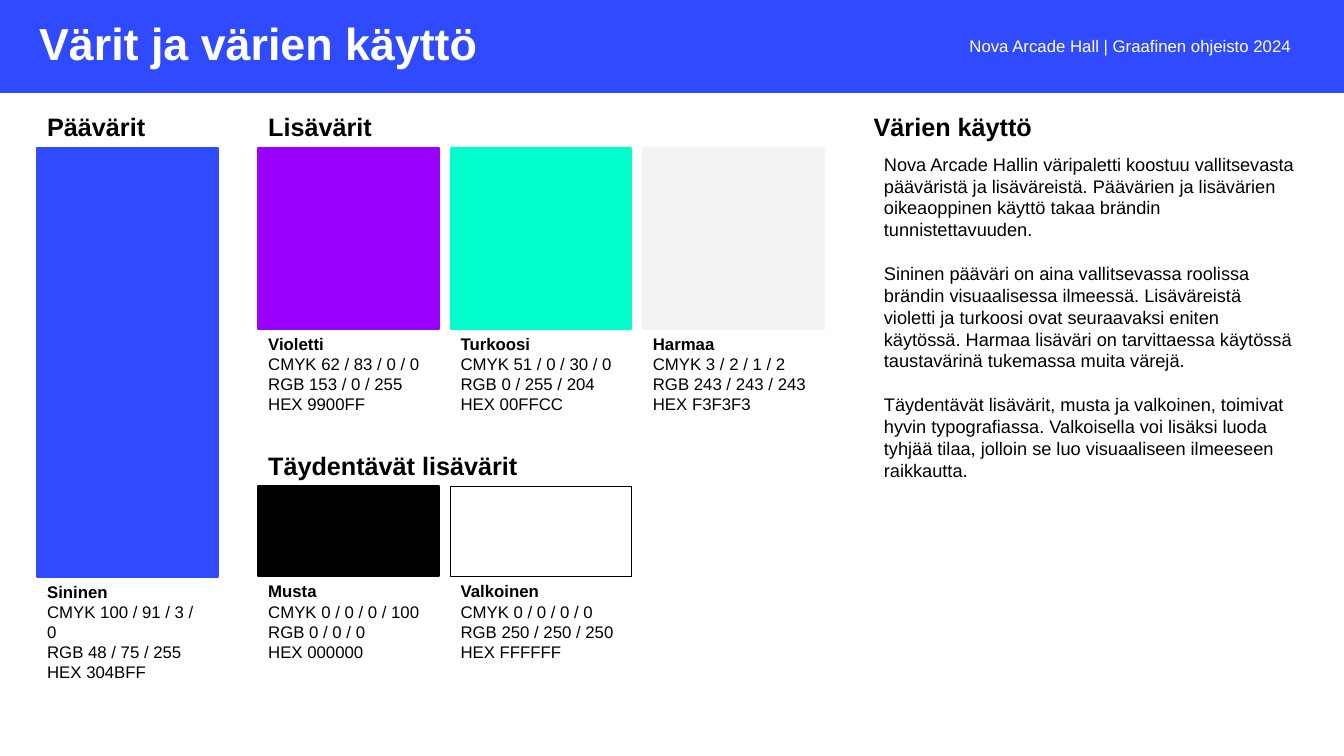
from dataclasses import dataclass

from pptx import Presentation
from pptx.dml.color import RGBColor
from pptx.enum.shapes import MSO_SHAPE
from pptx.enum.text import MSO_ANCHOR
from pptx.util import Pt


@dataclass(frozen=True)
class Theme:
    font: str = "Arial"
    blue: str = "304BFF"
    black: str = "000000"
    white: str = "FFFFFF"
    title: int = 32
    heading: int = 18
    body: int = 13
    label: int = 12


theme = Theme()
deck = Presentation()
deck.slide_width, deck.slide_height = Pt(960), Pt(540)
page = deck.slides.add_slide(deck.slide_layouts[6])


def add_block(left, top, width, height, fill, line, line_width=1.5):
    block = page.shapes.add_shape(MSO_SHAPE.RECTANGLE, Pt(left), Pt(top), Pt(width), Pt(height))
    block.shadow.inherit = False
    block.fill.solid()
    block.fill.fore_color.rgb = RGBColor.from_string(fill)
    block.line.color.rgb = RGBColor.from_string(line)
    block.line.width = Pt(line_width)


def add_text(left, top, width, height, lines, size, color=theme.black, bold_first=False):
    box = page.shapes.add_textbox(Pt(left), Pt(top), Pt(width), Pt(height))
    frame = box.text_frame
    frame.word_wrap = True
    frame.text = "\n".join(lines)
    for index, para in enumerate(frame.paragraphs):
        for span in para.runs:
            span.font.name = theme.font
            span.font.size = Pt(size)
            span.font.bold = bold_first and index == 0
            span.font.color.rgb = RGBColor.from_string(color)
    return frame


add_block(0, 0, 960, 66, theme.blue, theme.blue)
banner_texts = [
    (685.4, 24.5, 259, 18, "Nova Arcade Hall | Graafinen ohjeisto 2024", theme.label, False),
    (20.9, 12.2, 379.5, 41, "Värit ja värien käyttö", theme.title, True),
]
for left, top, width, height, text, size, bold in banner_texts:
    frame = add_text(left, top, width, height, [text], size, theme.white, bold)
    frame.vertical_anchor = MSO_ANCHOR.MIDDLE
    frame.paragraphs[0].line_spacing = 0.9

main_left, extra_left, column_step = 26.6, 184.5, 137.4
violet_left, turquoise_left, grey_left = [extra_left + column_step * i for i in range(3)]
usage_left = 617
heading_top, upper_top, lower_top = 76.3, 105.8, 347
swatch_width = 129

headings = [
    ("Päävärit", main_left, heading_top, swatch_width),
    ("Lisävärit", extra_left, heading_top, swatch_width),
    ("Täydentävät lisävärit", extra_left, 318, 200),
    ("Värien käyttö", usage_left, heading_top, 171),
]
for text, left, top, width in headings:
    add_text(left, top, width, 29, [text], theme.heading, bold_first=True)

swatches = [
    ("Sininen", "100 / 91 / 3 / 0", "48 / 75 / 255", theme.blue, main_left, upper_top, 306),
    ("Violetti", "62 / 83 / 0 / 0", "153 / 0 / 255", "9900FF", violet_left, upper_top, 129),
    ("Turkoosi", "51 / 0 / 30 / 0", "0 / 255 / 204", "00FFCC", turquoise_left, upper_top, 129),
    ("Harmaa", "3 / 2 / 1 / 2", "243 / 243 / 243", "F3F3F3", grey_left, upper_top, 129),
    ("Musta", "0 / 0 / 0 / 100", "0 / 0 / 0", theme.black, violet_left, lower_top, 64.5),
    ("Valkoinen", "0 / 0 / 0 / 0", "250 / 250 / 250", theme.white, turquoise_left, lower_top, 64.5),
]
for name, cmyk, rgb, code, left, top, height in swatches:
    is_white = code == theme.white
    line, line_width = (theme.black, 0.25) if is_white else (code, 1.5)
    add_block(left, top, swatch_width, height, code, line, line_width)
    values = [name, f"CMYK {cmyk}", f"RGB {rgb}", f"HEX {code}"]
    add_text(left, top + height, 128, 65.5, values, theme.label, bold_first=True)

usage = [
    "Nova Arcade Hallin väripaletti koostuu vallitsevasta pääväristä ja lisäväreistä. "
    "Päävärien ja lisävärien oikeaoppinen käyttö takaa brändin tunnistettavuuden.",
    "Sininen pääväri on aina vallitsevassa roolissa brändin visuaalisessa ilmeessä. "
    "Lisäväreistä violetti ja turkoosi ovat seuraavaksi eniten käytössä. "
    "Harmaa lisäväri on tarvittaessa käytössä taustavärinä tukemassa muita värejä.",
    "Täydentävät lisävärit, musta ja valkoinen, toimivat hyvin typografiassa. "
    "Valkoisella voi lisäksi luoda tyhjää tilaa, jolloin se luo visuaaliseen ilmeeseen raikkautta.",
]
usage_frame = add_text(624.3, 105.8, 309, 196.5, usage, theme.body)
for para in usage_frame.paragraphs[:-1]:
    para.space_after = Pt(15.6)

deck.save("out.pptx")
